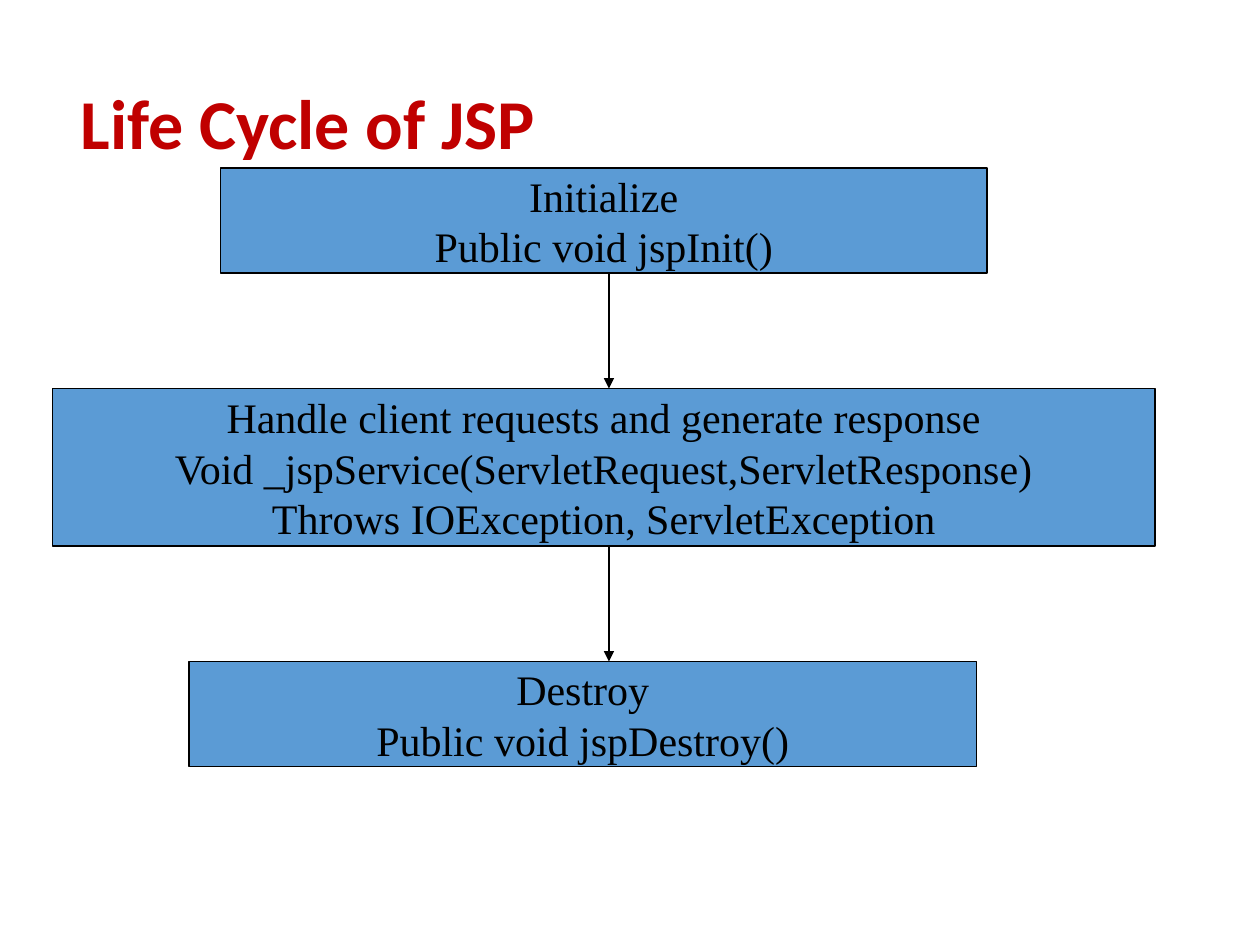
from lxml.etree import SubElement
from pptx import Presentation
from pptx.dml.color import RGBColor
from pptx.enum.shapes import MSO_CONNECTOR, MSO_SHAPE
from pptx.enum.text import MSO_ANCHOR, PP_ALIGN
from pptx.oxml.ns import qn
from pptx.util import Inches, Pt

TITLE = "Life Cycle of JSP"
STAGES = [
    {"left": 21, "width": 73, "lines": ["Initialize", "Public void jspInit()"]},
    {"left": 5, "width": 105, "lines": [
        "Handle client requests and generate response",
        "Void _jspService(ServletRequest,ServletResponse)",
        "Throws IOException, ServletException",
    ]},
    {"left": 18, "width": 75, "lines": ["Destroy", "Public void jspDestroy()"]},
]

RED = RGBColor(0xC0, 0x00, 0x00)
BLUE = RGBColor(0x5B, 0x9B, 0xD5)
BLACK = RGBColor(0x00, 0x00, 0x00)

UNIT = Inches(1) // 12
FIRST_TOP, LINE_HEIGHT, GAP, ARROW_LEFT = 16, 5, 11, 58


def add_text(paragraph, text, font_name, size, color, bold=False):
    run = paragraph.add_run()
    run.text = text
    run.font.name = font_name
    run.font.size = Pt(size)
    run.font.bold = bold
    run.font.color.rgb = color


def add_title(slide):
    title = slide.shapes.title
    title.left, title.top = Inches(0.54), Inches(0.67)
    title.width, title.height = Inches(8.5), Inches(0.67)
    title.text_frame.vertical_anchor = MSO_ANCHOR.MIDDLE
    paragraph = title.text_frame.paragraphs[0]
    paragraph.alignment = PP_ALIGN.LEFT
    paragraph.line_spacing = 0.9
    add_text(paragraph, TITLE, "Calibri", 40, RED, bold=True)


def add_stage(shapes, stage, top, height):
    shape = shapes.add_shape(
        MSO_SHAPE.RECTANGLE,
        stage["left"] * UNIT, top * UNIT, stage["width"] * UNIT, height * UNIT,
    )
    shape.shadow.inherit = False
    shape.fill.solid()
    shape.fill.fore_color.rgb = BLUE
    shape.line.color.rgb = BLACK
    shape.line.width = Pt(0.75)
    frame = shape.text_frame
    frame.word_wrap = False
    frame.vertical_anchor = MSO_ANCHOR.MIDDLE
    for index, text in enumerate(stage["lines"]):
        paragraph = frame.add_paragraph() if index else frame.paragraphs[0]
        paragraph.alignment = PP_ALIGN.CENTER
        add_text(paragraph, text, "Times New Roman", 24, BLACK)


def add_arrow(shapes, start, end):
    arrow = shapes.add_connector(
        MSO_CONNECTOR.STRAIGHT,
        ARROW_LEFT * UNIT, start * UNIT, ARROW_LEFT * UNIT, end * UNIT,
    )
    arrow.line.color.rgb = BLACK
    arrow.line.width = Pt(0.75)
    SubElement(arrow.line._get_or_add_ln(), qn("a:tailEnd"), type="triangle")
    SubElement(arrow._element.spPr, qn("a:effectLst"))


def main():
    presentation = Presentation()
    presentation.slide_width, presentation.slide_height = Inches(10), Inches(7.5)
    slide = presentation.slides.add_slide(presentation.slide_layouts[5])
    add_title(slide)
    diagram = slide.shapes.add_group_shape().shapes
    top = FIRST_TOP
    for index, stage in enumerate(STAGES):
        height = LINE_HEIGHT * len(stage["lines"])
        add_stage(diagram, stage, top, height)
        if index:
            add_arrow(diagram, top - GAP, top)
        top += height + GAP
    presentation.save("out.pptx")


if __name__ == "__main__":
    main()
